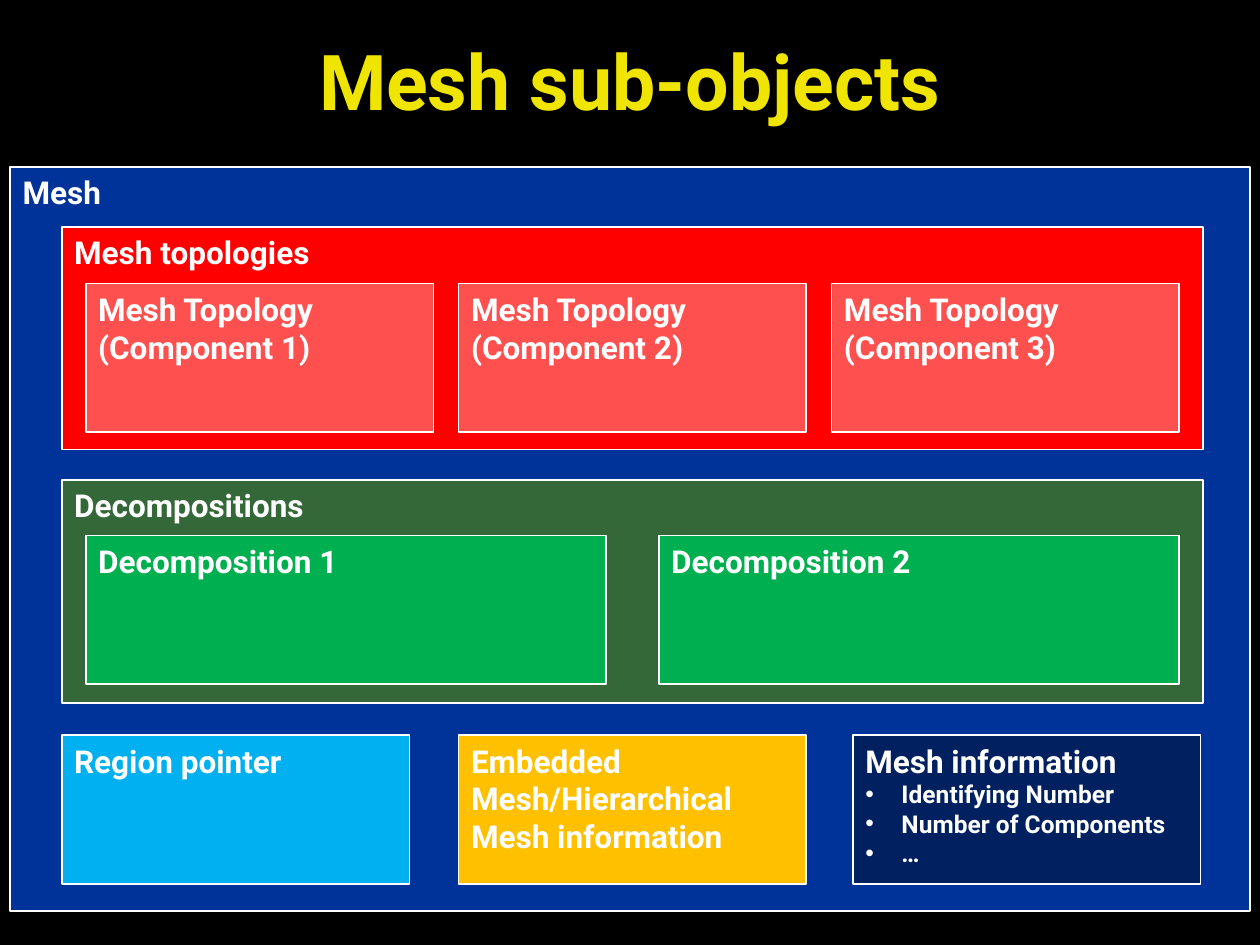
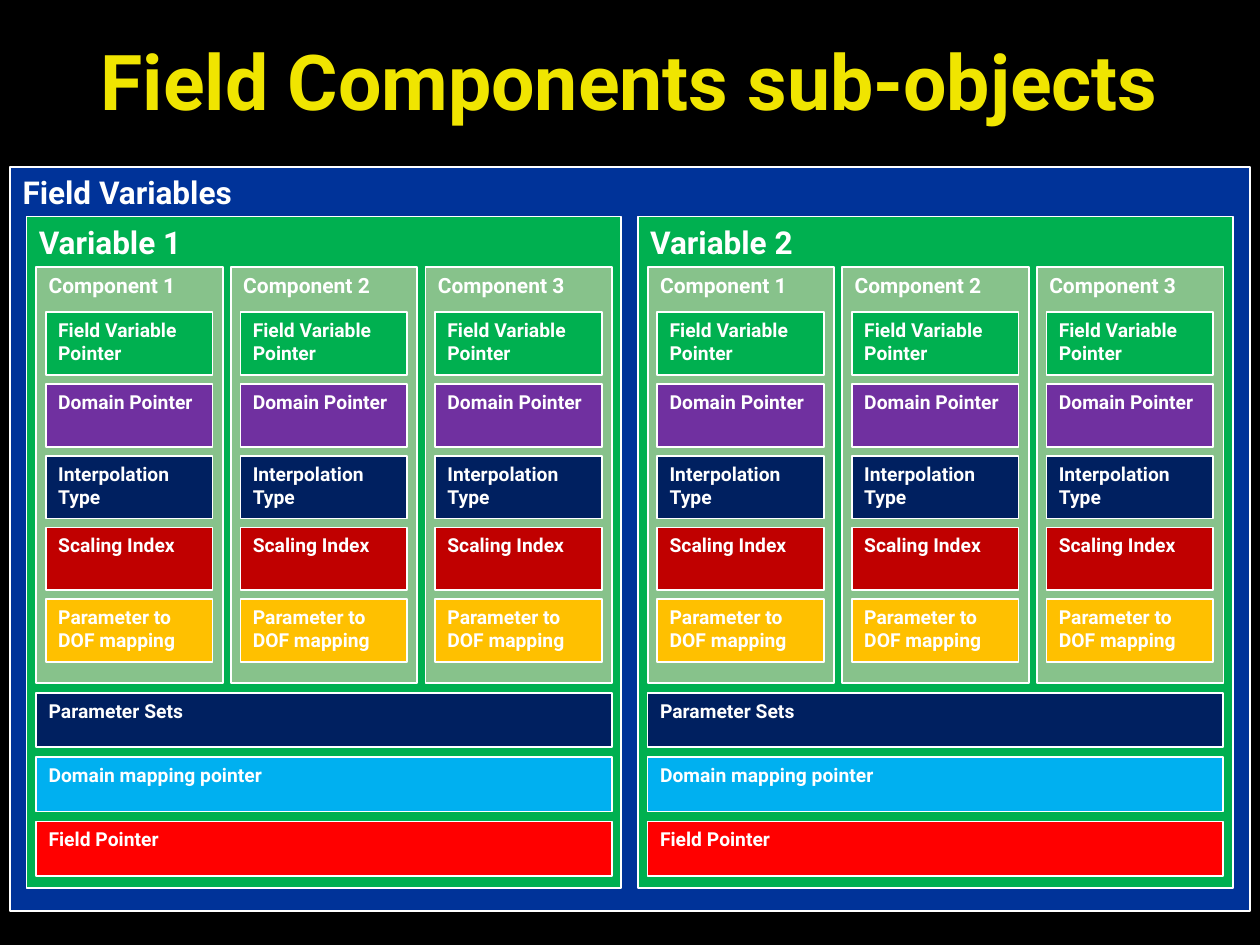
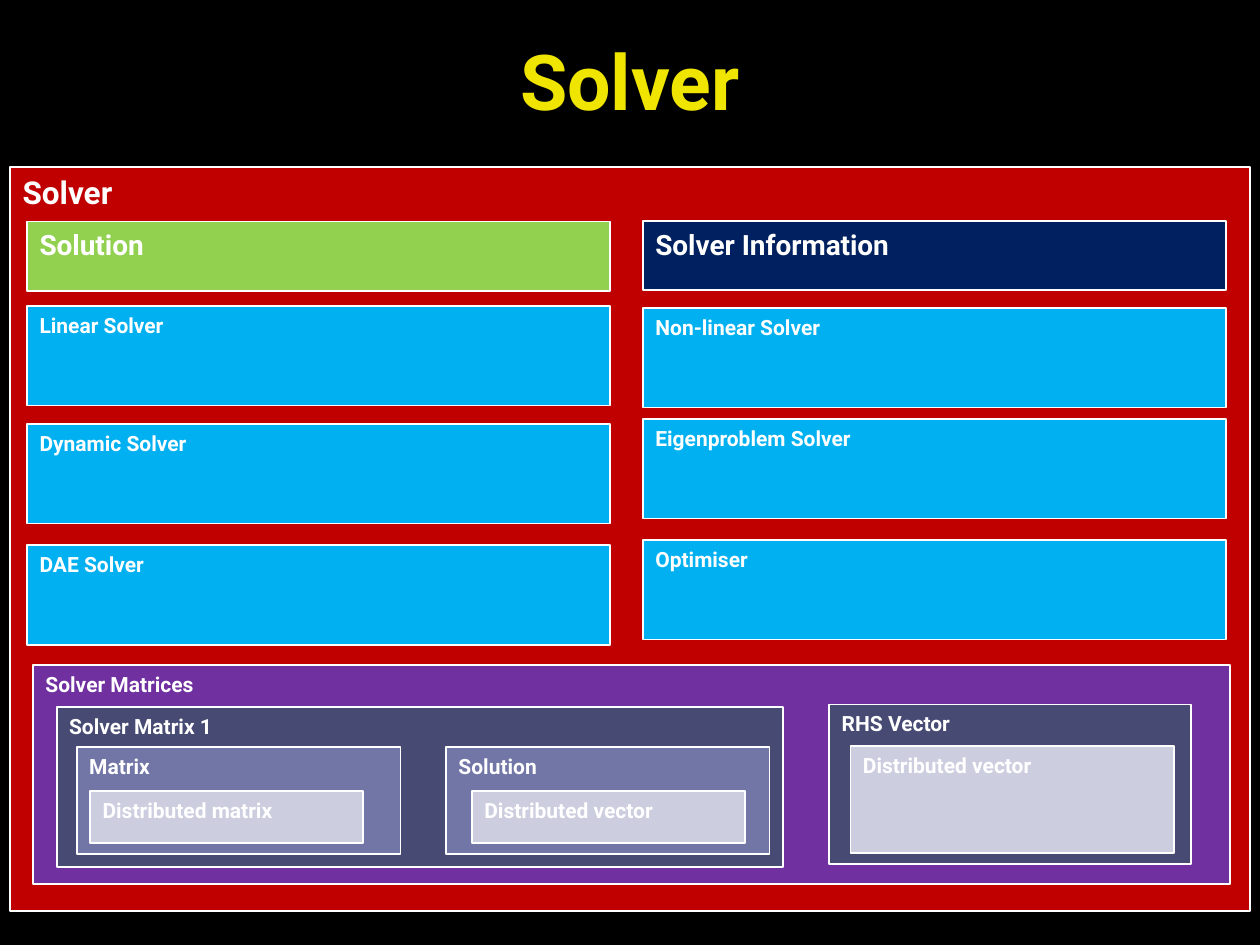
import pptx
import pptx.util
import pptx.dml.color
import pptx.enum.shapes
import pptx.enum.text
import pptx.oxml.ns
import lxml.etree
from dataclasses import dataclass

Pt = pptx.util.Pt


@dataclass(frozen=True)
class Theme:
    font: str = "Roboto"
    black: str = "000000"
    white: str = "FFFFFF"
    yellow: str = "F0E500"
    blue: str = "003399"
    navy: str = "002060"
    sky: str = "00B0F0"
    red: str = "FF0000"
    coral: str = "FF5050"
    crimson: str = "C00000"
    forest: str = "356838"
    green: str = "00B050"
    sage: str = "87C28B"
    lime: str = "92D050"
    gold: str = "FFC000"
    purple: str = "7030A0"
    slate: str = "474B73"
    steel: str = "7176A6"
    pale: str = "CCCEDF"
    title: int = 44
    head: int = 18
    lead: int = 16
    bullet: int = 14
    label: int = 12
    small: int = 11


T = Theme()
FRAME = (5.8, 95.4, 708.5, 425.2)


def rgb(code):
    return pptx.dml.color.RGBColor.from_string(code)


def style(para, size, color=T.white):
    font = para.font
    font.name, font.size, font.bold = T.font, Pt(size), True
    font.color.rgb = rgb(color)


def place(shape, left, top, width, height):
    shape.left, shape.top = Pt(left), Pt(top)
    shape.width, shape.height = Pt(width), Pt(height)


def add_slide(deck, title):
    slide = deck.slides.add_slide(deck.slide_layouts[5])
    holder = slide.shapes.title
    place(holder, 0, 0.7, 720, 90)
    holder.text = title
    holder.text_frame.vertical_anchor = pptx.enum.text.MSO_ANCHOR.MIDDLE
    para = holder.text_frame.paragraphs[0]
    para.alignment = pptx.enum.text.PP_ALIGN.CENTER
    style(para, T.title, T.yellow)
    return slide


def add_box(slide, text, fill, size, left, top, width, height):
    """Draw a white-edged box with its label at the top left."""
    box = slide.shapes.add_shape(
        pptx.enum.shapes.MSO_SHAPE.RECTANGLE,
        Pt(left), Pt(top), Pt(width), Pt(height))
    box.shadow.inherit = False
    box.fill.solid()
    box.fill.fore_color.rgb = rgb(fill)
    box.line.color.rgb = rgb(T.white)
    box.line.width = Pt(1)
    frame = box.text_frame
    frame.word_wrap = True
    frame.vertical_anchor = pptx.enum.text.MSO_ANCHOR.TOP
    para = frame.paragraphs[0]
    para.text = text
    para.alignment = pptx.enum.text.PP_ALIGN.LEFT
    style(para, size)
    return box


def add_bullets(box, items):
    indent = Pt(20.7)
    for item in items:
        para = box.text_frame.add_paragraph()
        para.text = item
        para.alignment = pptx.enum.text.PP_ALIGN.LEFT
        props = para._p.get_or_add_pPr()
        props.set("marL", str(indent))
        props.set("indent", str(-indent))
        for tag, key, value in (("buFont", "typeface", "Arial"),
                                ("buChar", "char", "•")):
            name = pptx.oxml.ns.qn("a:" + tag)
            lxml.etree.SubElement(props, name).set(key, value)
        style(para, T.bullet)


def draw_mesh(deck):
    slide = add_slide(deck, "Mesh sub-objects")
    add_box(slide, "Mesh", T.blue, T.head, *FRAME)
    for name, fill, top in (("Mesh topologies", T.red, 129.6),
                            ("Decompositions", T.forest, 274.4)):
        add_box(slide, name, fill, T.head, 35.3, top, 652.3, 127.4)
    wide, tall = 198.7, 85
    for i in range(3):
        add_box(slide, f"Mesh Topology (Component {i + 1})", T.coral, T.head,
                49 + i * 213.1, 162, wide, tall)
    for i in range(2):
        add_box(slide, f"Decomposition {i + 1}", T.green, T.head,
                49 + i * 327.5, 306, 297.4, tall)
    for name, fill, left in (
            ("Region pointer", T.sky, 35.3),
            ("Embedded Mesh/Hierarchical Mesh information", T.gold, 262.1),
            ("Mesh information", T.navy, 487.4)):
        box = add_box(slide, name, fill, T.head, left, 420.2, wide, tall)
    add_bullets(box, ("Identifying Number", "Number of Components", "…"))


def draw_column(slide, number, left):
    """Draw one field component and its stack of members."""
    add_box(slide, f"Component {number}", T.sage, T.label,
            left, 152.4, 106.6, 237.8)
    members = (("Field Variable Pointer", T.green),
               ("Domain Pointer", T.purple),
               ("Interpolation Type", T.navy),
               ("Scaling Index", T.crimson),
               ("Parameter to DOF mapping", T.gold))
    for i, (name, fill) in enumerate(members):
        add_box(slide, name, fill, T.small,
                left + 5.5, 178.4 + i * 41, 95.3, 36)


def draw_field(deck):
    slide = add_slide(deck, "Field Components sub-objects")
    add_box(slide, "Field Variables", T.blue, T.head, *FRAME)
    bars = (("Parameter Sets", T.navy),
            ("Domain mapping pointer", T.sky),
            ("Field Pointer", T.red))
    for i in range(2):
        left = 15.1 + i * 349.4
        inner = left + 5.6
        add_box(slide, f"Variable {i + 1}", T.green, T.head,
                left, 123.8, 340, 383.6)
        for j, (name, fill) in enumerate(bars):
            add_box(slide, name, fill, T.small,
                    inner, 395.8 + j * 36.8, 329, 31.2)
        for j in range(3):
            draw_column(slide, j + 1, inner + j * 111.2)


def draw_solver(deck):
    slide = add_slide(deck, "Solver")
    add_box(slide, "Solver", T.crimson, T.head, *FRAME)
    columns = (
        (15.5, "Solution", T.lime, 126.6,
         (("Linear Solver", 175), ("Dynamic Solver", 242.4),
          ("DAE Solver", 311.6))),
        (367.4, "Solver Information", T.navy, 126.2,
         (("Non-linear Solver", 176.1), ("Eigenproblem Solver", 239.5),
          ("Optimiser", 308.7))))
    for left, head, fill, top, solvers in columns:
        add_box(slide, head, fill, T.lead, left, top, 333.2, 39.6)
        for name, row in solvers:
            add_box(slide, name, T.sky, T.label, left, row, 333.2, 56.8)
    matrices = (
        ("Solver Matrices", T.purple, 18.9, 380, 684, 125.2),
        ("Solver Matrix 1", T.slate, 32.4, 404, 415.2, 91.3),
        ("RHS Vector", T.slate, 473.9, 402.6, 206.8, 91.3),
        ("Matrix", T.steel, 43.9, 426.8, 184.9, 61.3),
        ("Solution", T.steel, 254.9, 426.8, 184.9, 61.3),
        ("Distributed matrix", T.pale, 51.5, 452, 156, 29.8),
        ("Distributed vector", T.pale, 269.7, 452, 156, 29.8),
        ("Distributed vector", T.pale, 486, 426.2, 184.9, 61.3))
    for name, fill, *area in matrices:
        add_box(slide, name, fill, T.label, *area)


def main():
    deck = pptx.Presentation()
    deck.slide_width, deck.slide_height = Pt(720), Pt(540)
    ground = deck.slide_master.background.fill
    ground.solid()
    ground.fore_color.rgb = rgb(T.black)
    draw_mesh(deck)
    draw_field(deck)
    draw_solver(deck)
    deck.save("out.pptx")


if __name__ == "__main__":
    main()
